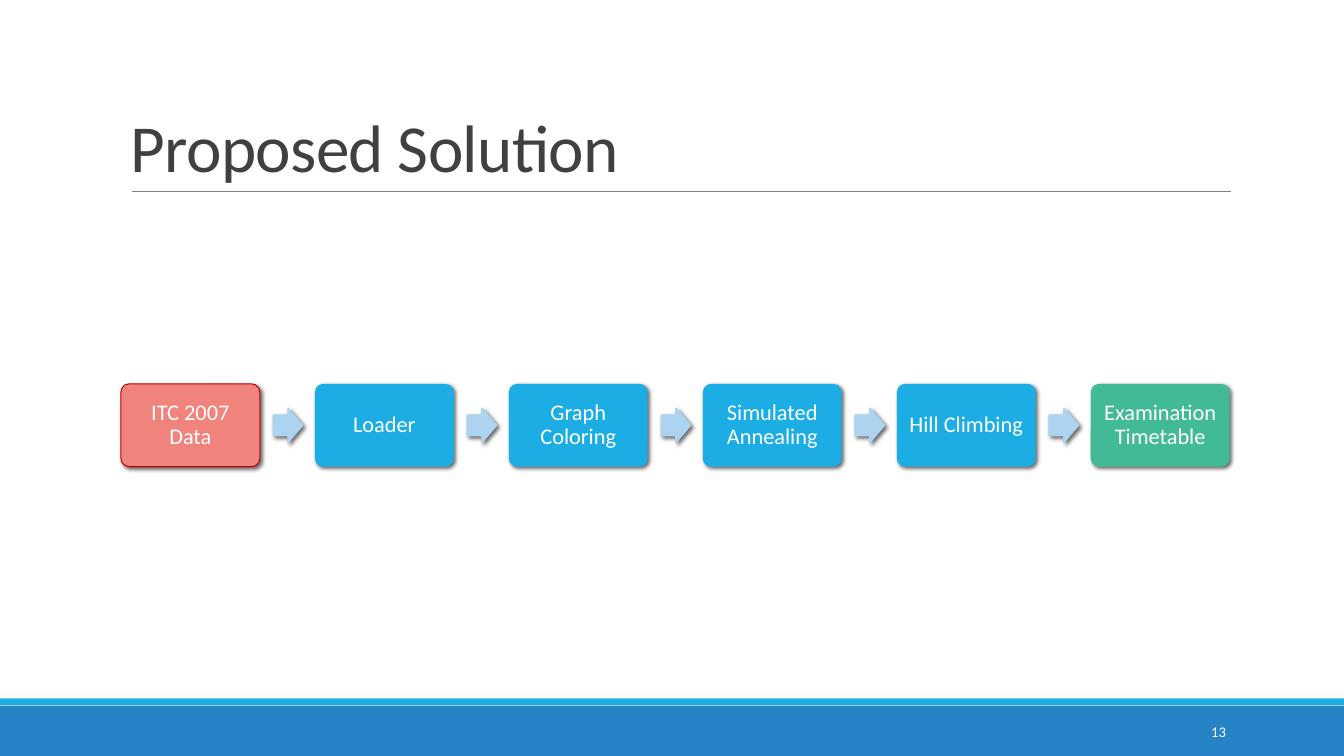
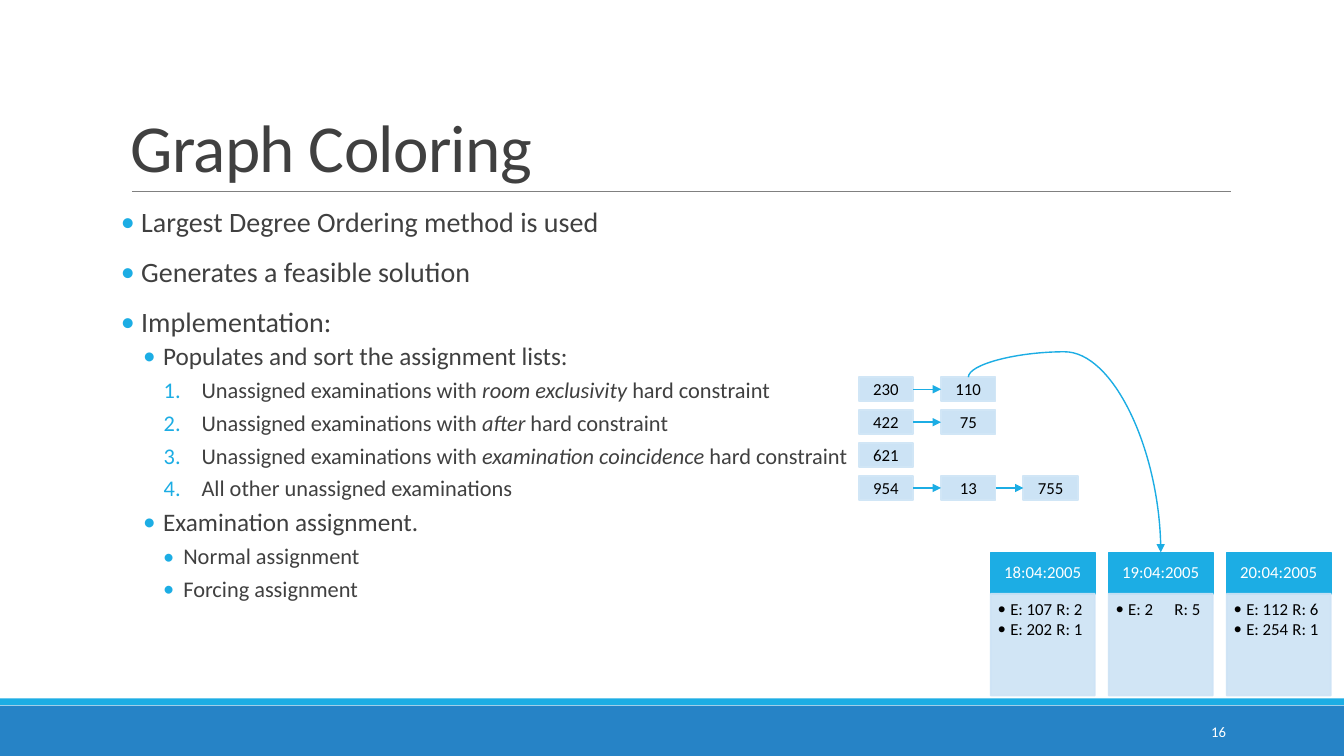
from dataclasses import dataclass

from lxml.etree import SubElement
from pptx import Presentation
from pptx.dml.color import RGBColor
from pptx.enum.shapes import MSO_CONNECTOR, MSO_SHAPE
from pptx.enum.text import MSO_ANCHOR, PP_ALIGN
from pptx.oxml.ns import qn
from pptx.util import Pt

RECTANGLE = MSO_SHAPE.RECTANGLE
ROUNDED = MSO_SHAPE.ROUNDED_RECTANGLE
ARROW = MSO_SHAPE.RIGHT_ARROW
STRAIGHT = MSO_CONNECTOR.STRAIGHT
CURVE = MSO_CONNECTOR.CURVE
TOP, MIDDLE, BOTTOM = MSO_ANCHOR.TOP, MSO_ANCHOR.MIDDLE, MSO_ANCHOR.BOTTOM
LEFT, CENTER, RIGHT = PP_ALIGN.LEFT, PP_ALIGN.CENTER, PP_ALIGN.RIGHT

FONT = "Calibri"
WIDTH, HEIGHT = 960, 540
COLORS = {
    "white": "FFFFFF",
    "black": "000000",
    "text": "404040",
    "rule": "808080",
    "footer": "2683C6",
    "accent": "1CADE4",
    "input": "F0847C",
    "input_edge": "C00000",
    "output": "42BA97",
    "arrow": "ACD3EF",
    "node": "CCE3F5",
    "node_edge": "D1E6F6",
    "day": "CDE3F5",
}


def rgb(name):
    return RGBColor.from_string(COLORS[name])


def add_text(frame, text, size=12, color="black", align=LEFT, line_spacing=1,
             before=0, after=0, level=0, indent=0, hanging=0, bullet=None,
             bullet_color=None, numbered=False, tracking=0, tab=None):
    first = frame.paragraphs[0]
    paragraph = frame.add_paragraph() if first.runs else first
    paragraph.alignment = align
    paragraph.line_spacing = line_spacing
    paragraph.space_before = Pt(before)
    paragraph.space_after = Pt(after)
    paragraph.level = level
    properties = paragraph._p.get_or_add_pPr()
    properties.set("marL", str(Pt(indent)))
    properties.set("indent", str(Pt(-hanging)))
    if tab:
        properties.set("defTabSz", str(Pt(tab)))
    if bullet or numbered:
        bullet_fill = SubElement(properties, qn("a:buClr"))
        SubElement(bullet_fill, qn("a:srgbClr"), val=COLORS[bullet_color or color])
        SubElement(properties, qn("a:buFont"), typeface=FONT)
    if numbered:
        SubElement(properties, qn("a:buAutoNum"), type="arabicPeriod")
    elif bullet:
        SubElement(properties, qn("a:buChar"), char=bullet)
    for index, part in enumerate(text.split("*")):
        run = paragraph.add_run()
        run.text = part
        run.font.name = FONT
        run.font.size = Pt(size)
        run.font.color.rgb = rgb(color)
        run.font.italic = index % 2 == 1
        if tracking:
            run._r.get_or_add_rPr().set("spc", str(round(tracking * 100)))


@dataclass
class Deck:
    presentation: object
    slide: object = None

    def new_slide(self, title, number):
        self.slide = self.presentation.slides.add_slide(self.presentation.slide_layouts[6])
        self.shape(RECTANGLE, 0, 504, WIDTH, 36, "footer")
        self.shape(RECTANGLE, 0, 498.8, WIDTH, 5, "accent")
        self.line(94.3, 136.8, 879, 136.8, "rule", 0.5)
        add_text(self.text_box(86.4, 22.3, 792, 114.5, BOTTOM), title, size=48,
                 color="text", line_spacing=0.85, tracking=-0.5)
        add_text(self.text_box(779.8, 508.3, 103, 28.8, MIDDLE), str(number),
                 size=10.5, color="white", align=RIGHT)

    def frame(self, shape, anchor, insets):
        frame = shape.text_frame
        frame.word_wrap = True
        frame.vertical_anchor = anchor
        (frame.margin_left, frame.margin_top,
         frame.margin_right, frame.margin_bottom) = map(Pt, insets)
        return frame

    def text_box(self, left, top, width, height, anchor=TOP, insets=(7.2, 3.6, 7.2, 3.6)):
        box = self.slide.shapes.add_textbox(Pt(left), Pt(top), Pt(width), Pt(height))
        return self.frame(box, anchor, insets)

    def shape(self, kind, left, top, width, height, fill, edge=None, edge_width=1,
              adjustments=(), shadow=False, opacity=None, anchor=MIDDLE,
              insets=(0, 0, 0, 0)):
        shape = self.slide.shapes.add_shape(kind, Pt(left), Pt(top), Pt(width), Pt(height))
        for index, value in enumerate(adjustments):
            shape.adjustments[index] = value
        shape.fill.solid()
        shape.fill.fore_color.rgb = rgb(fill)
        if edge:
            shape.line.color.rgb = rgb(edge)
            shape.line.width = Pt(edge_width)
        else:
            shape.line.fill.background()
        shape.shadow.inherit = False
        properties = shape._element.spPr
        if opacity:
            for color in properties.iter(qn("a:srgbClr")):
                SubElement(color, qn("a:alpha"), val=str(opacity * 1000))
        if shadow:
            outer = SubElement(properties.find(qn("a:effectLst")), qn("a:outerShdw"),
                               blurRad=str(Pt(3)), dist=str(Pt(2)), dir="2700000")
            color = SubElement(outer, qn("a:srgbClr"), val=COLORS["black"])
            SubElement(color, qn("a:alpha"), val="60000")
        return self.frame(shape, anchor, insets)

    def line(self, x1, y1, x2, y2, color, width=1, kind=STRAIGHT, arrow=False):
        connector = self.slide.shapes.add_connector(kind, Pt(x1), Pt(y1), Pt(x2), Pt(y2))
        connector.line.color.rgb = rgb(color)
        connector.line.width = Pt(width)
        properties = connector._element.spPr
        if arrow:
            SubElement(properties.find(qn("a:ln")), qn("a:tailEnd"), type="triangle")
        SubElement(properties, qn("a:effectLst"))
        return connector

    def arch(self, x1, y1, x2, y2, bend):
        center_x, center_y = (x1 + x2) / 2, (y1 + y2) / 2
        half_width, half_height = (y2 - y1) / 2, (x2 - x1) / 2
        connector = self.line(center_x + half_width, center_y - half_height,
                              center_x - half_width, center_y + half_height,
                              "accent", kind=CURVE, arrow=True)
        properties = connector._element.spPr
        properties.find(qn("a:xfrm")).set("rot", "16200000")
        geometry = properties.find(qn("a:prstGeom"))
        values = geometry.find(qn("a:avLst"))
        if values is None:
            values = SubElement(geometry, qn("a:avLst"))
        SubElement(values, qn("a:gd"), name="adj1", fmla=f"val {round(bend * 100000)}")

    def step(self, left, text, fill, edge):
        frame = self.shape(ROUNDED, left, 274.2, 99.2, 59.2, fill, edge, 0.75,
                           adjustments=[0.1], shadow=True, insets=(5, 5, 5, 5))
        add_text(frame, text, size=16, color="white", align=CENTER, line_spacing=0.9)

    def node(self, left, top, text):
        frame = self.shape(RECTANGLE, left, top, NODE_WIDTH, NODE_HEIGHT,
                           "node", "node_edge", 1.25)
        add_text(frame, text, align=CENTER)

    def day(self, left, date, exams):
        header = self.shape(RECTANGLE, left, DAY_TOP, DAY_WIDTH, 29.5, "accent", "accent", 1.25)
        add_text(header, date, color="white", align=CENTER, line_spacing=0.9)
        body = self.shape(RECTANGLE, left, DAY_TOP + 29.5, DAY_WIDTH, 72.7, "day", "day", 1.25,
                          opacity=90, anchor=TOP, insets=(5, 5, 6.5, 7))
        for exam in exams:
            add_text(body, exam, line_spacing=0.9, after=1.5, level=1,
                     indent=9, hanging=9, bullet="•", tab=42)


presentation = Presentation()
presentation.slide_width, presentation.slide_height = Pt(WIDTH), Pt(HEIGHT)
deck = Deck(presentation)

deck.new_slide("Proposed Solution", 13)
STEPS = [
    ("ITC 2007 Data", "input", "input_edge"),
    ("Loader", "accent", None),
    ("Graph Coloring", "accent", None),
    ("Simulated Annealing", "accent", None),
    ("Hill Climbing", "accent", None),
    ("Examination Timetable", "output", None),
]
for index, (text, fill, edge) in enumerate(STEPS):
    left = 86.4 + index * 138.55
    deck.step(left, text, fill, edge)
    if index < len(STEPS) - 1:
        deck.shape(ARROW, left + 108.8, 291.6, 21, 24.5, "arrow", "arrow",
                   adjustments=[0.6, 0.5], shadow=True)

deck.new_slide("Graph Coloring", 16)
MAIN = dict(size=20, before=12, after=2, indent=7.2, hanging=7.2, bullet="•")
SUB = dict(size=18, before=2, after=4, level=1, indent=30.2, hanging=14.4, bullet="•")
DETAIL = {**SUB, "size": 16, "level": 2, "indent": 44.6}
NUMBERED = {**DETAIL, "indent": 57.6, "hanging": 27, "numbered": True}
OUTLINE = [
    (" Largest Degree Ordering method is used", MAIN),
    (" Generates a feasible solution", MAIN),
    (" Implementation:", MAIN),
    ("Populates and sort the assignment lists:", SUB),
    ("Unassigned examinations with *room exclusivity *hard constraint", NUMBERED),
    ("Unassigned examinations with *after* hard constraint", NUMBERED),
    ("Unassigned examinations with *examination coincidence *hard constraint", NUMBERED),
    ("All other unassigned examinations", NUMBERED),
    ("Examination assignment.", SUB),
    ("Normal assignment", DETAIL),
    ("Forcing assignment", DETAIL),
]
outline = deck.text_box(86.4, 145.4, 792, 316.8, insets=(0, 3.6, 0, 3.6))
for text, style in OUTLINE:
    add_text(outline, text, color="text", line_spacing=0.9, bullet_color="accent", **style)

DAY_LEFT, DAY_TOP, DAY_WIDTH, DAY_PITCH = 707.6, 394.6, 74.4, 84.3
DAYS = [
    ("18:04:2005", ["E: 107\tR: 2", "E: 202\tR: 1"]),
    ("19:04:2005", ["E: 2\tR: 5"]),
    ("20:04:2005", ["E: 112\tR: 6", "E: 254\tR: 1"]),
]
for index, (date, exams) in enumerate(DAYS):
    deck.day(DAY_LEFT + index * DAY_PITCH, date, exams)

NODE_LEFT, NODE_TOP, NODE_WIDTH, NODE_HEIGHT = 613.4, 269.4, 38.9, 17.3
COLUMN_PITCH, ROW_PITCH = 58.8, 23.5
ASSIGNMENT_LISTS = [["230", "110"], ["422", "75"], ["621"], ["954", "13", "755"]]
for row, exams in enumerate(ASSIGNMENT_LISTS):
    top = NODE_TOP + row * ROW_PITCH
    middle = top + NODE_HEIGHT / 2
    for column, exam in enumerate(exams):
        left = NODE_LEFT + column * COLUMN_PITCH
        deck.node(left, top, exam)
        if column:
            deck.line(left - COLUMN_PITCH + NODE_WIDTH, middle, left, middle,
                      "accent", arrow=True)
deck.arch(NODE_LEFT + COLUMN_PITCH + NODE_WIDTH / 2, NODE_TOP,
          DAY_LEFT + DAY_PITCH + DAY_WIDTH / 2, DAY_TOP, -0.145)

presentation.save("out.pptx")
